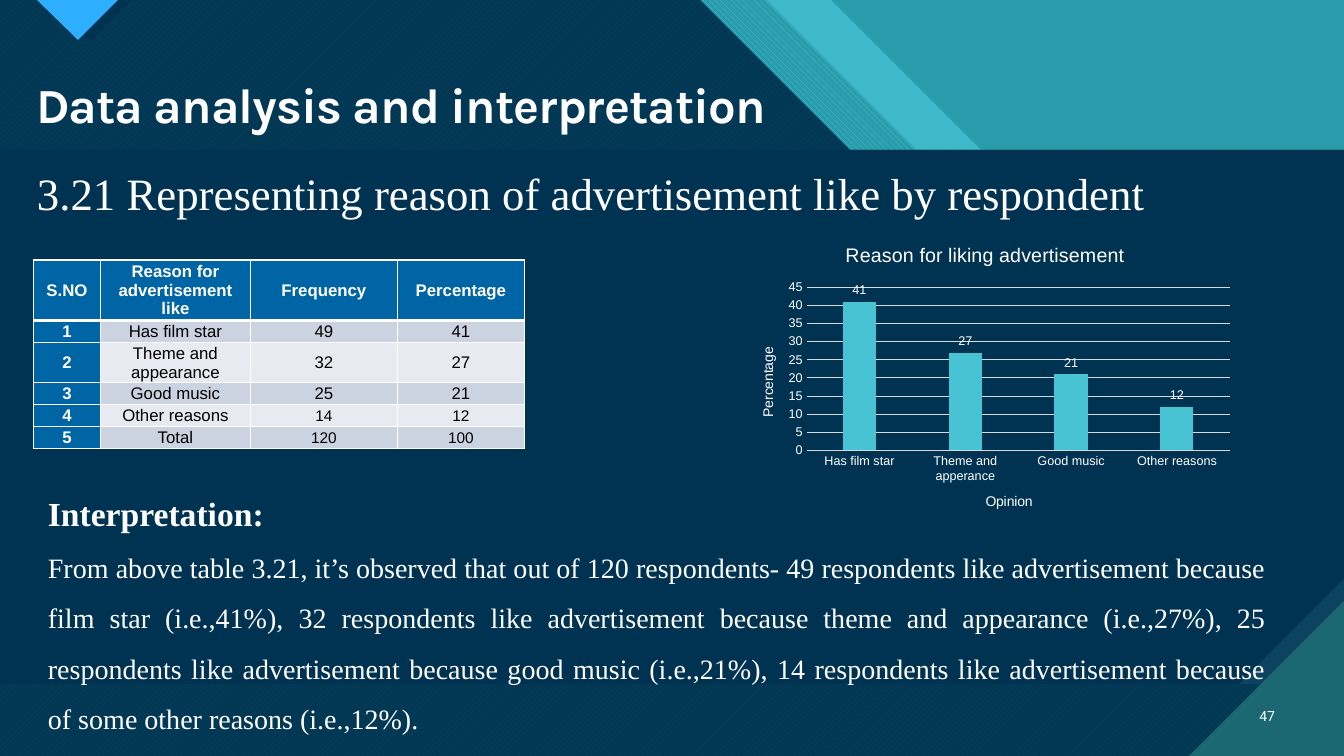
"""Build the slide on reasons for liking an advertisement."""
from lxml import etree
from pptx import Presentation
from pptx.chart.data import CategoryChartData
from pptx.dml.color import RGBColor
from pptx.enum import chart as ch, dml, text as tx
from pptx.oxml.ns import qn
from pptx.util import Emu, Pt

TITLE = "Data analysis and interpretation"
HEAD = "3.21 Representing reason of advertisement like by respondent"
LABEL = "Interpretation:"
BODY = (
    "From above table 3.21, it’s observed that out of 120 respondents- 49 respondents "
    "like advertisement because film star (i.e.,41%), 32 respondents like advertisement "
    "because theme and appearance (i.e.,27%), 25 respondents like advertisement because "
    "good music (i.e.,21%), 14 respondents like advertisement because of some other "
    "reasons (i.e.,12%)."
)
ROWS = [
    ("S.NO", "Reason for advertisement like", "Frequency", "Percentage"),
    ("1", "Has film star", "49", "41"),
    ("2", "Theme and appearance", "32", "27"),
    ("3", "Good music", "25", "21"),
    ("4", "Other reasons", "14", "12"),
    ("5", "Total", "120", "100"),
]
COLS = (67, 150, 147, 127)
HIGH = (60, 22, 40, 22, 22, 22)
CATS = ("Has film star", "Theme and apperance", "Good music", "Other reasons")
VALS = (41, 27, 21, 12)
INK = {
    "white": "FFFFFF", "black": "000000", "navy": "003352", "teal": "299CAB",
    "aqua": "47C3D3", "band": "3FB9C9", "deep": "1B6872", "sky": "2FAFFF",
    "edge": "0C4360", "hatch": "07415F", "base": "033855", "head": "0065A4",
    "odd": "CCD3E0", "even": "E7EAF0", "grid": "D9D9D9",
}
WIDE, TALL, TOP, FOOT = 1344, 756, 150, 684
DOWN = dml.MSO_PATTERN.WIDE_DOWNWARD_DIAGONAL
UP = dml.MSO_PATTERN.WIDE_UPWARD_DIAGONAL


def slant(x):
    return [(0, 0), (x, 0), (x + TOP, TOP), (WIDE, TOP), (WIDE, TALL), (0, TALL)]


ART = [
    (slant(831), "band", None),
    (slant(766), "aqua", (DOWN, "teal")),
    (slant(700), "hatch", (UP, "base")),
    ([(48, 0), (132, 0), (90, 41)], "navy", None),
    ([(37, 0), (118, 0), (78, 40)], "sky", None),
    ([(0, TOP), (WIDE, TOP), (WIDE, FOOT), (0, FOOT)], "edge", None),
    ([(0, TOP), (WIDE, TOP), (WIDE, 579), (WIDE - 105, FOOT), (0, FOOT)], "navy", None),
    ([(1189, TALL), (WIDE, TALL), (WIDE, 601)], "deep", None),
]
UNIT = 914400 / 100.8


def px(*nums):
    return [Emu(round(n * UNIT)) for n in nums]


def rgb(name):
    return RGBColor.from_string(INK[name])


def style(font, size, name="Arial", ink="white", bold=False):
    for key, val in {"size": Pt(size), "name": name, "bold": bold}.items():
        setattr(font, key, val)
    font.color.rgb = rgb(ink)


def draw(slide, pts, ink, mix):
    pen = slide.shapes.build_freeform(*pts[0], scale=UNIT)
    pen.add_line_segments(pts[1:], close=True)
    shape = pen.convert_to_shape()
    shape.shadow.inherit = False
    shape.line.fill.background()
    if mix:
        shape.fill.patterned()
        shape.fill.pattern = mix[0]
        shape.fill.fore_color.rgb = rgb(ink)
        shape.fill.back_color.rgb = rgb(mix[1])
    else:
        shape.fill.solid()
        shape.fill.fore_color.rgb = rgb(ink)


def write(slide, box, lines, align, space=1.0, mid=False):
    frame = slide.shapes.add_textbox(*px(*box)).text_frame
    frame.word_wrap = True
    if mid:
        frame.vertical_anchor = tx.MSO_ANCHOR.MIDDLE
    for i, (words, *look) in enumerate(lines):
        para = frame.add_paragraph() if i else frame.paragraphs[0]
        para.alignment, para.line_spacing = align, space
        run = para.add_run()
        run.text = words
        style(run.font, *look)


def border(cell, row):
    thick = {"T": 3 if row == 1 else 1, "B": 3 if row == 0 else 1}
    props = cell._tc.get_or_add_tcPr()
    for i, side in enumerate("LRTB"):
        line = etree.Element(qn("a:ln" + side), w=str(Pt(thick.get(side, 1))))
        fill = etree.SubElement(line, qn("a:solidFill"))
        etree.SubElement(fill, qn("a:srgbClr"), val=INK["white"])
        props.insert(i, line)


def table(slide):
    grid = slide.shapes.add_table(
        len(ROWS), len(COLS), *px(33.5, 260, sum(COLS), sum(HIGH))).table
    grid.first_col, grid.horz_banding = True, False
    for col, wide in zip(grid.columns, px(*COLS)):
        col.width = wide
    for r, (row, tall) in enumerate(zip(ROWS, px(*HIGH))):
        grid.rows[r].height = tall
        for c, words in enumerate(row):
            cell = grid.cell(r, c)
            side = r == 0 or c == 0
            cell.margin_top = cell.margin_bottom = 0
            cell.margin_left = cell.margin_right = px(7)[0]
            cell.vertical_anchor = tx.MSO_ANCHOR.MIDDLE
            cell.fill.solid()
            cell.fill.fore_color.rgb = rgb("head" if side else "odd" if r % 2 else "even")
            border(cell, r)
            para = cell.text_frame.paragraphs[0]
            para.alignment = tx.PP_ALIGN.CENTER
            run = para.add_run()
            run.text = words
            style(run.font, 11 if r > 3 and c > 1 else 12,
                  ink="white" if side else "black", bold=side)


def place(node, slot, **parts):
    for old in node.findall(qn("c:layout")):
        node.remove(old)
    lay = etree.Element(qn("c:layout"))
    man = etree.SubElement(lay, qn("c:manualLayout"))
    for tag, val in parts.items():
        etree.SubElement(man, qn("c:" + tag)).set("val", str(val))
    node.insert(slot, lay)


def caption(owner, words, size, x, y):
    frame = (owner.chart_title if hasattr(owner, "chart_title") else owner.axis_title).text_frame
    run = frame.paragraphs[0].add_run()
    run.text = words
    style(run.font, size)
    node = frame._txBody.getparent().getparent()
    place(node, 1, xMode="edge", yMode="edge", x=x, y=y)


def chart(slide):
    data = CategoryChartData()
    data.categories = CATS
    data.add_series("Series 1", VALS)
    plan = slide.shapes.add_chart(
        ch.XL_CHART_TYPE.COLUMN_CLUSTERED, *px(736, 230, 504, 302), data).chart
    style(plan.font, 10)
    plan.has_legend = False
    cat, val = plan.category_axis, plan.value_axis
    caption(plan, "Reason for liking advertisement", 14, 0.21, 0.03)
    caption(cat, "Opinion", 10, 0.49, 0.86)
    caption(val, "Percentage", 10, 0.04, 0.38)
    for axis in (cat, val):
        axis.major_tick_mark = axis.minor_tick_mark = ch.XL_TICK_MARK.NONE
        style(axis.tick_labels.font, 9)
    val.minimum_scale, val.maximum_scale, val.major_unit = 0, 45, 5
    val.format.line.fill.background()
    for line in (cat.format.line, val.major_gridlines.format.line):
        line.color.rgb, line.width = rgb("grid"), Pt(0.75)
    plot = plan.plots[0]
    plot.gap_width, plot.overlap, plot.vary_by_categories = 219, -27, False
    bars = plot.series[0]
    bars.format.fill.solid()
    bars.format.fill.fore_color.rgb = rgb("aqua")
    tags = bars.data_labels
    tags.show_value = True
    tags.position = ch.XL_LABEL_POSITION.OUTSIDE_END
    style(tags.font, 9)
    area = plan._chartSpace.find(".//" + qn("c:plotArea"))
    place(area, 0, layoutTarget="inner", xMode="edge", yMode="edge",
          x=0.14, y=0.19, w=0.84, h=0.54)


def main():
    deck = Presentation()
    deck.slide_width, deck.slide_height = px(WIDE, TALL)
    slide = deck.slides.add_slide(deck.slide_layouts[5])
    slide.background.fill.solid()
    slide.background.fill.fore_color.rgb = rgb("teal")
    for part in ART:
        draw(slide, *part)
    title = slide.shapes.title
    slide.shapes._spTree.append(title._element)
    title.left, title.top, title.width, title.height = px(26, 76, 762, 63)
    para = title.text_frame.paragraphs[0]
    para.alignment, para.line_spacing = tx.PP_ALIGN.LEFT, 0.9
    run = para.add_run()
    run.text = TITLE
    style(run.font, 35, "Karla", bold=True)
    run._r.get_or_add_rPr().set("spc", "-70")
    serif = "Times New Roman"
    just = tx.PP_ALIGN.JUSTIFY
    write(slide, (1241, 696, 44, 40), [("47", 10, "Roboto")], tx.PP_ALIGN.RIGHT, mid=True)
    write(slide, (27, 161, 1259, 65), [(HEAD, 32, serif)], just)
    write(slide, (38, 468, 1238, 269),
          [(LABEL, 24, serif, "white", True), (BODY, 20, serif)], just, 1.5)
    table(slide)
    chart(slide)
    deck.save("out.pptx")


if __name__ == "__main__":
    main()
